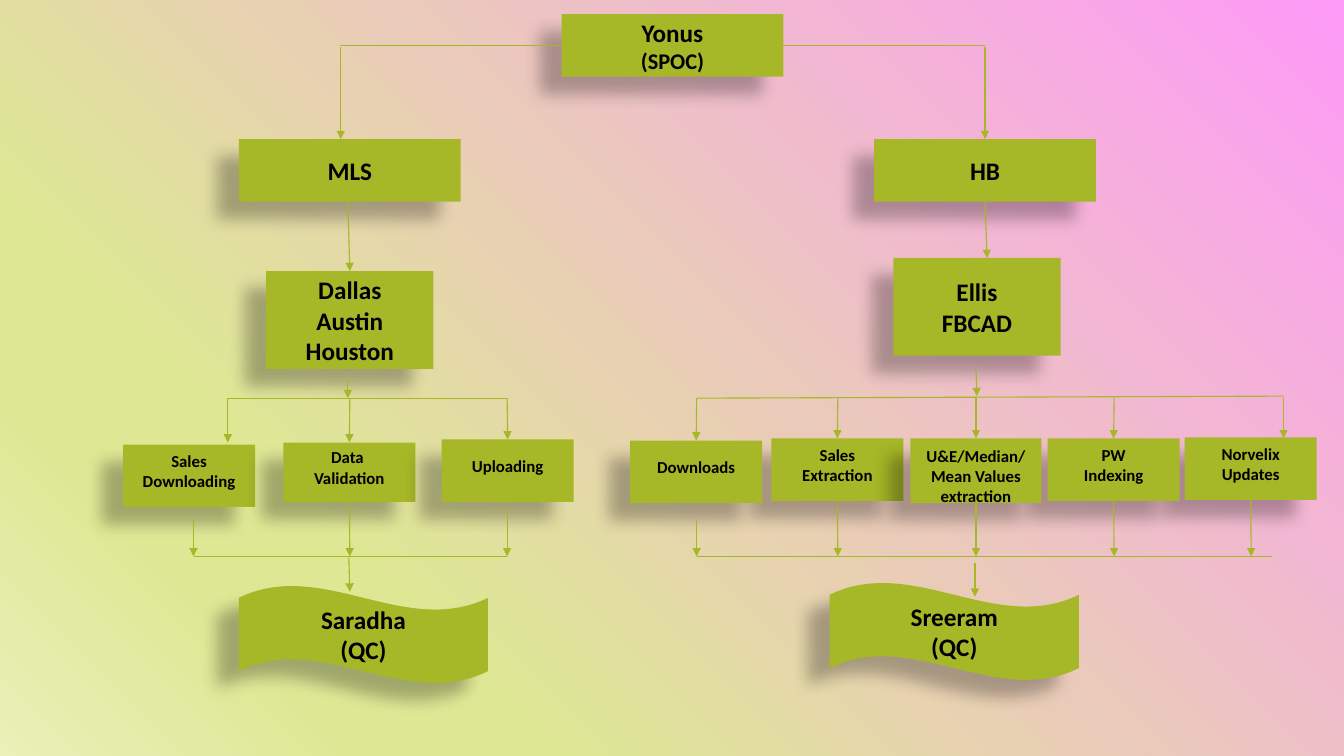
from copy import deepcopy
from dataclasses import dataclass

from lxml import etree
from pptx import Presentation
from pptx import util as u
from pptx.dml.color import RGBColor
from pptx.enum import shapes, text
from pptx.oxml import parse_xml
from pptx.oxml.ns import nsdecls, qn


@dataclass(frozen=True)
class Theme:
    green: str = "A6B727"
    ink: str = "000000"
    font: str = "Calibri"
    name_size: float = 18
    role_size: float = 16
    task_size: float = 12
    line_width: float = 0.79
    backdrop: tuple = ((0, "FE9AF7"), (74, "DEE894"), (83, "DEE894"), (100, "E9F0B8"))


THEME = Theme()
RECT, WAVE = shapes.MSO_SHAPE.RECTANGLE, shapes.MSO_SHAPE.WAVE
TASK_INSETS = {"margin_top": 0, "margin_bottom": u.Inches(0.1)}
LOW_INSETS = {"margin_top": u.Inches(0.1), "margin_bottom": 0}

# left, top, width, height, lines
TEAMS = [
    (2.37, 1.38, 2.2, 0.62, ["MLS"]),
    (8.67, 1.38, 2.2, 0.62, ["HB"]),
    (2.64, 2.69, 1.66, 0.97, ["Dallas", "Austin", "Houston"]),
    (8.86, 2.56, 1.66, 0.97, ["Ellis", "FBCAD"]),
]
REVIEWERS = [(2.37, 5.81, "Saradha"), (8.23, 5.78, "Sreeram")]
TASKS = [
    (1.22, 4.41, 1.31, 0.62, ["Sales Downloading"], TASK_INSETS),
    (2.81, 4.39, 1.31, 0.59, ["Data ", "Validation"], TASK_INSETS),
    (4.38, 4.36, 1.31, 0.62, ["Uploading"], TASK_INSETS),
    (7.65, 4.35, 1.31, 0.62, ["Sales", "Extraction"], TASK_INSETS),
    (6.25, 4.37, 1.31, 0.62, ["Downloads"], TASK_INSETS),
    (11.75, 4.34, 1.31, 0.62, ["Norvelix", "Updates"], TASK_INSETS),
    (10.39, 4.35, 1.31, 0.62, ["PW", "Indexing"], TASK_INSETS),
    (9.03, 4.35, 1.3, 0.64, ["U&E/Median/", "Mean Values extraction"], LOW_INSETS),
]

SPLIT_Y, MERGE_Y = 3.95, 5.52
RAILS = [
    ((5.57, 0.45), (3.37, 0.45)),
    ((7.77, 0.45), (9.77, 0.45)),
    ((2.26, SPLIT_Y), (5.03, SPLIT_Y)),
    ((6.91, SPLIT_Y), (12.73, 3.93)),
    ((1.92, MERGE_Y), (5.03, MERGE_Y)),
    ((6.91, MERGE_Y), (12.62, MERGE_Y)),
]
TEAM_ARROWS = [
    ((3.38, 0.47), (3.38, 1.38)),
    ((9.77, 0.47), (9.77, 1.38)),
    ((3.45, 2.01), (3.47, 2.69)),
    ((9.77, 1.99), (9.79, 2.56)),
    ((3.45, 3.75), (3.45, SPLIT_Y)),
    ((9.68, 3.66), (9.69, 3.93)),
    ((3.46, 5.53), (3.47, 5.87)),
    ((9.67, 5.59), (9.67, 5.92)),
]
# x and end height of the arrows into the tasks, x and start height of those out
TASK_ENTRIES = [(2.26, 4.39), (3.47, 4.39), (5.03, 4.36), (6.91, 4.37),
                (8.31, 4.35), (9.68, 4.35), (11.05, 4.35), (12.73, 4.35)]
TASK_EXITS = [(1.92, 5.16), (3.47, 4.98), (5.03, 5.03), (6.91, 5.16),
              (8.31, 4.97), (9.68, 4.99), (11.05, 4.97), (12.41, 4.96)]


def apply(target, values):
    for name, value in values.items():
        setattr(target, name, value)


def paint_background(slide):
    fill = slide.background.fill
    fill.gradient()
    fill.gradient_angle = 225
    stops = next(slide.element.iter(qn("a:gsLst")))
    for stop in list(stops):
        stops.remove(stop)
    for position, color in THEME.backdrop:
        stop = etree.SubElement(stops, qn("a:gs"), pos=str(position * 1000))
        etree.SubElement(stop, qn("a:srgbClr"), val=color)


def cast_shadow(box):
    box.shadow.inherit = False
    box._element.spPr.find(qn("a:effectLst")).append(parse_xml(
        f'<a:outerShdw {nsdecls("a")} blurRad="150000" dist="250000" dir="8460000" '
        f'algn="ctr" rotWithShape="0"><a:srgbClr val="{THEME.ink}">'
        '<a:alpha val="28000"/></a:srgbClr></a:outerShdw>'))


def write_lines(frame, lines, sizes):
    """Put the lines in one paragraph, separated by line breaks of matching size."""
    paragraph = frame.paragraphs[0]
    paragraph.alignment = text.PP_ALIGN.CENTER
    for index, (line, size) in enumerate(zip(lines, sizes)):
        if index:
            paragraph.add_line_break()
            paragraph._p[-1].append(deepcopy(run._r.rPr))
        run = paragraph.add_run()
        run.text = line
        apply(run.font, {"name": THEME.font, "size": u.Pt(size), "bold": True})
        run.font.color.rgb = RGBColor.from_string(THEME.ink)


def add_box(slide, kind, left, top, width, height, lines, sizes, insets=None):
    box = slide.shapes.add_shape(kind, *map(u.Inches, (left, top, width, height)))
    box.fill.solid()
    box.fill.fore_color.rgb = RGBColor.from_string(THEME.green)
    box.line.fill.background()
    cast_shadow(box)
    frame = box.text_frame
    apply(frame, {"word_wrap": True, "vertical_anchor": text.MSO_ANCHOR.MIDDLE,
                  **(insets or {})})
    write_lines(frame, lines, sizes)
    return box


def find_joint(boxes, point):
    """Return the box and site whose side middle lies at the point, if any."""
    x, y = map(u.Inches, point)
    for box in boxes:
        middle_x, middle_y = box.left + box.width // 2, box.top + box.height // 2
        sites = [(middle_x, box.top), (box.left, middle_y),
                 (middle_x, box.top + box.height), (box.left + box.width, middle_y)]
        for site, (site_x, site_y) in enumerate(sites):
            if max(abs(site_x - x), abs(site_y - y)) < u.Inches(0.015):
                return box, site
    return None


def add_link(slide, boxes, start, end, arrow=True):
    link = slide.shapes.add_connector(
        shapes.MSO_CONNECTOR.STRAIGHT, *map(u.Inches, (*start, *end)))
    link.line.color.rgb = RGBColor.from_string(THEME.green)
    link.line.width = u.Pt(THEME.line_width)
    if arrow:
        etree.SubElement(link.line._get_or_add_ln(), qn("a:tailEnd"), type="triangle")
    etree.SubElement(link._element.spPr, qn("a:effectLst"))
    for point, connect in ((start, link.begin_connect), (end, link.end_connect)):
        joint = find_joint(boxes, point)
        if joint:
            connect(*joint)


def main():
    deck = Presentation()
    apply(deck, {"slide_width": u.Inches(13.33), "slide_height": u.Inches(7.5)})
    slide = deck.slides.add_slide(deck.slide_layouts[6])
    paint_background(slide)

    name_sizes = [THEME.name_size] * 3
    boxes = [add_box(slide, RECT, 5.57, 0.14, 2.2, 0.62, ["Yonus", "(SPOC)"],
                     [THEME.name_size, THEME.role_size])]
    for team in TEAMS:
        boxes.append(add_box(slide, RECT, *team, name_sizes))
    for *place, lines, insets in TASKS:
        boxes.append(add_box(slide, RECT, *place, lines, [THEME.task_size] * 2, insets))
    for left, top, name in REVIEWERS:
        add_box(slide, WAVE, left, top, 2.47, 0.97, [name, "(QC)"], name_sizes)

    entries = [((x, SPLIT_Y), (x, y)) for x, y in TASK_ENTRIES]
    exits = [((x, y), (x, MERGE_Y)) for x, y in TASK_EXITS]
    for start, end in TEAM_ARROWS + entries + exits:
        add_link(slide, boxes, start, end)
    for start, end in RAILS:
        add_link(slide, boxes, start, end, arrow=False)
    deck.save("out.pptx")


if __name__ == "__main__":
    main()
